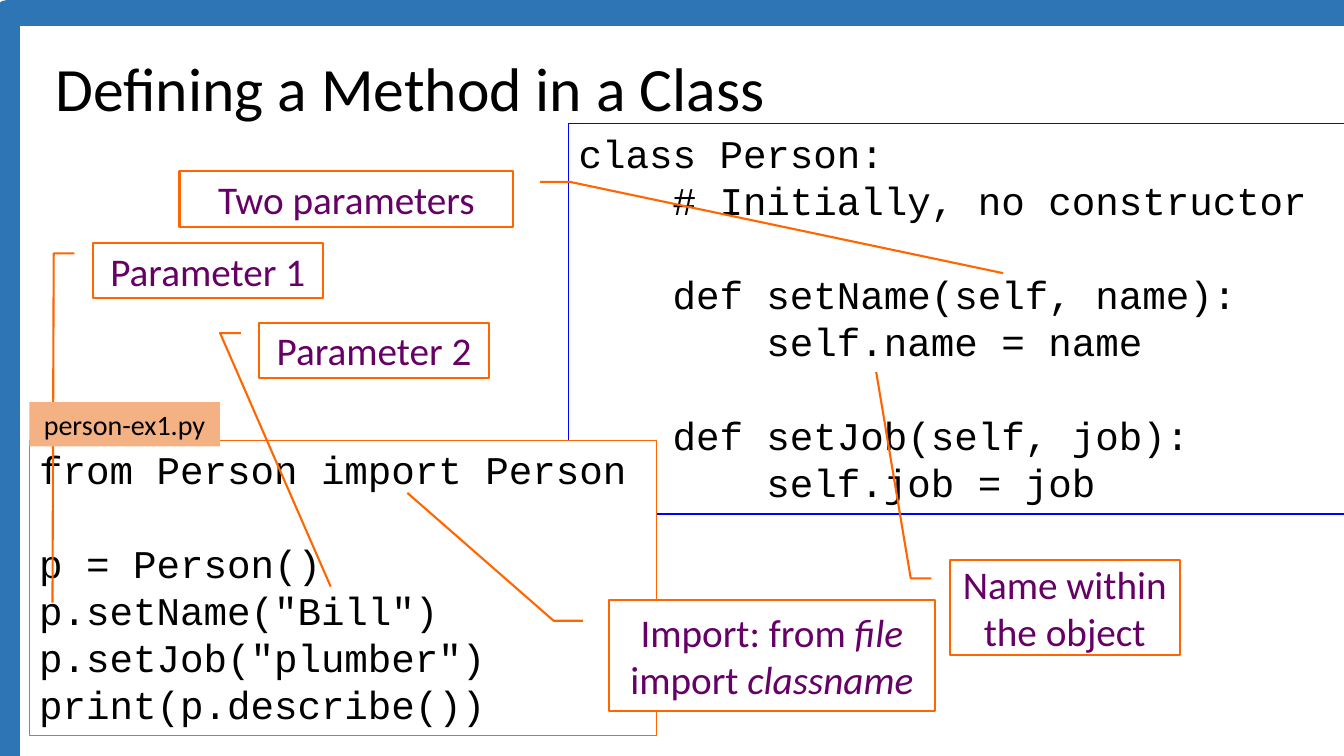
from dataclasses import dataclass
from typing import Optional

import pptx
import pptx.dml.color
import pptx.enum.shapes
import pptx.enum.text
import pptx.text.text
import pptx.util

EMU_PER_PX = 9144  # 100 px to the inch
SHAPE = pptx.enum.shapes.MSO_SHAPE
ALIGN = pptx.enum.text.PP_ALIGN
ANCHOR = pptx.enum.text.MSO_ANCHOR


@dataclass(frozen=True)
class Theme:
    body_font: str = "Calibri"
    code_font: str = "Courier New"
    ink: str = "000000"
    paper: str = "FFFFFF"
    frame: str = "2E75B6"
    class_line: str = "0000FF"
    accent: str = "FF6600"
    note: str = "660066"
    tag: str = "F4B183"
    title_pt: int = 44
    text_pt: int = 28
    tag_pt: int = 20


@dataclass(frozen=True)
class Box:
    x: int
    y: int
    w: int
    h: int


@dataclass(frozen=True)
class CodePanel:
    box: Box
    line: str
    code: str


@dataclass(frozen=True)
class Callout:
    box: Box
    target: tuple[int, int]
    text: str  # parts between asterisks are italic
    right: bool = False  # side the leader leaves from
    fill: Optional[str] = None


THEME = Theme()

CLASS_CODE = """class Person:
    # Initially, no constructor

    def setName(self, name):
        self.name = name

    def setJob(self, job):
        self.job = job"""

SCRIPT_CODE = """from Person import Person

p = Person()
p.setName("Bill")
p.setJob("plumber")
print(p.describe())"""

PANELS = [
    CodePanel(Box(564, 123, 772, 387), THEME.class_line, CLASS_CODE),
    CodePanel(Box(29, 437, 622, 293), THEME.accent, SCRIPT_CODE),
]

CALLOUTS = [
    Callout(Box(178, 170, 331, 55), (995, 271), "Two parameters", right=True),
    Callout(Box(92, 241, 228, 55), (52, 598), "Parameter 1"),
    Callout(Box(257, 320, 228, 55), (328, 582), "Parameter 2"),
    Callout(Box(942, 556, 228, 94), (869, 369), "Name within the object"),
    Callout(Box(604, 595, 323, 110), (404, 489),
            "Import: from *file* import *classname*", fill=THEME.paper),
]


def px(n: int) -> pptx.util.Emu:
    return pptx.util.Emu(n * EMU_PER_PX)


def rgb(color: str) -> pptx.dml.color.RGBColor:
    return pptx.dml.color.RGBColor.from_string(color)


def set_font(font: pptx.text.text.Font, name: str, size: int, color: str) -> None:
    font.name = name
    font.size = pptx.util.Pt(size)
    font.color.rgb = rgb(color)


def add_box(s, kind, box: Box, fill: Optional[str] = None,
            line: Optional[str] = None, width: float = 0.75):
    sp = s.shapes.add_shape(kind, px(box.x), px(box.y), px(box.w), px(box.h))
    sp.shadow.inherit = False
    if fill:
        sp.fill.solid()
        sp.fill.fore_color.rgb = rgb(fill)
    else:
        sp.fill.background()
    if line:
        sp.line.color.rgb = rgb(line)
        sp.line.width = pptx.util.Pt(width)
    else:
        sp.line.fill.background()
    return sp


def add_title(s, box: Box, text: str) -> None:
    sp = s.shapes.add_textbox(px(box.x), px(box.y), px(box.w), px(box.h))
    tf = sp.text_frame
    tf.word_wrap = True
    tf.vertical_anchor = ANCHOR.MIDDLE
    tf.text = text
    p = tf.paragraphs[0]
    p.line_spacing = 0.9
    set_font(p.runs[0].font, THEME.body_font, THEME.title_pt, THEME.ink)


def add_panel(s, panel: CodePanel) -> None:
    tf = add_box(s, SHAPE.RECTANGLE, panel.box, THEME.paper, panel.line).text_frame
    tf.vertical_anchor = ANCHOR.TOP
    tf.text = panel.code
    for p in tf.paragraphs:
        p.alignment = ALIGN.LEFT
        # An empty code line takes its height from the end-of-paragraph font
        end_font = pptx.text.text.Font(p._p.get_or_add_endParaRPr())
        for font in [end_font] + [r.font for r in p.runs]:
            set_font(font, THEME.code_font, THEME.text_pt, THEME.ink)


def add_callout(s, note: Callout) -> None:
    box = note.box
    sp = add_box(s, SHAPE.LINE_CALLOUT_2, box, note.fill, THEME.accent, 1.5)
    # Leader: start, elbow and target as y, x fractions of the box
    start, elbow = (1.08, 1.17) if note.right else (-0.08, -0.17)
    x, y = note.target
    leader = [0.19, start, 0.19, elbow, (y - box.y) / box.h, (x - box.x) / box.w]
    for i, value in enumerate(leader):
        sp.adjustments[i] = value
    tf = sp.text_frame
    tf.vertical_anchor = ANCHOR.MIDDLE
    tf.margin_left = tf.margin_right = px(4)
    p = tf.paragraphs[0]
    p.alignment = ALIGN.CENTER
    for i, part in enumerate(note.text.split("*")):
        if part:
            r = p.add_run()
            r.text = part
            set_font(r.font, THEME.body_font, THEME.text_pt, THEME.note)
            r.font.italic = i % 2 == 1


def add_tag(s, box: Box, text: str) -> None:
    tf = add_box(s, SHAPE.RECTANGLE, box, THEME.tag).text_frame
    tf.vertical_anchor = ANCHOR.TOP
    tf.text = text
    p = tf.paragraphs[0]
    p.alignment = ALIGN.CENTER
    set_font(p.runs[0].font, THEME.body_font, THEME.tag_pt, THEME.ink)


def main() -> None:
    prs = pptx.Presentation()
    prs.slide_width, prs.slide_height = px(1333), px(750)
    s = prs.slides.add_slide(prs.slide_layouts[6])

    # Frame and title
    add_box(s, SHAPE.RECTANGLE, Box(7, 13, 1339, 755), line=THEME.frame, width=18)
    add_title(s, Box(45, 40, 1197, 102), "Defining a Method in a Class")

    # Code panels
    for panel in PANELS:
        add_panel(s, panel)

    # Callouts and file name
    for note in CALLOUTS:
        add_callout(s, note)
    add_tag(s, Box(29, 399, 189, 44), "person-ex1.py")

    prs.save("out.pptx")


if __name__ == "__main__":
    main()
